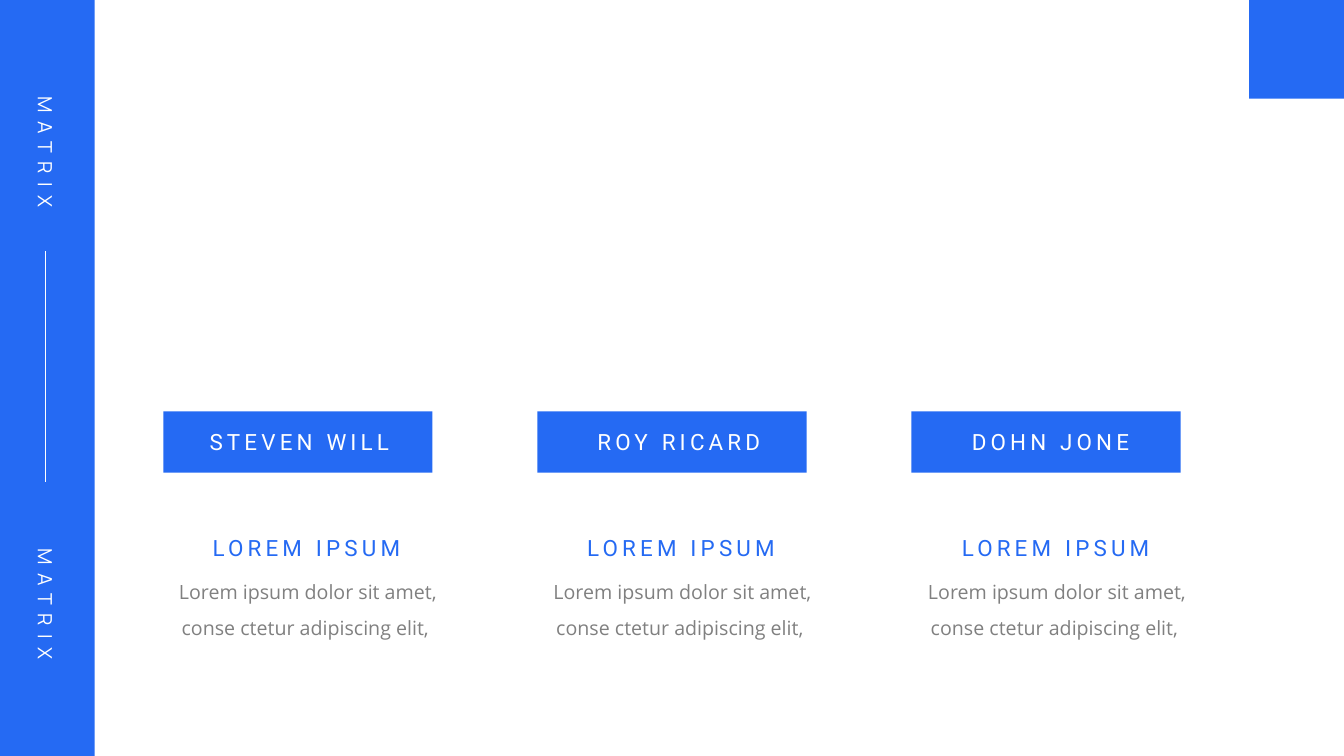
from lxml import etree
from pptx import Presentation
from pptx.dml.color import RGBColor
from pptx.enum.shapes import MSO_CONNECTOR, MSO_SHAPE
from pptx.enum.text import MSO_AUTO_SIZE, PP_ALIGN
from pptx.oxml.ns import qn
from pptx.util import Pt

SIDE_TITLE = "MATRIX"
SIDE_TITLE_TOPS = (134, 582)
MEMBERS = [
    {"name": "STEVEN WILL", "name_left": 195, "name_width": 201},
    {"name": "ROY RICARD", "name_left": 569, "name_width": 195},
    {"name": "DOHN JONE", "name_left": 945, "name_width": 185},
]
HEADING = "LOREM IPSUM"
DESCRIPTION = "Lorem ipsum dolor sit amet, conse ctetur adipiscing elit, "

BLUE = RGBColor(0x25, 0x6A, 0xF3)
WHITE = RGBColor(0xFF, 0xFF, 0xFF)
GRAY = RGBColor(0x80, 0x80, 0x80)
RECTANGLE = MSO_SHAPE.RECTANGLE
STRAIGHT = MSO_CONNECTOR.STRAIGHT
RESIZE = MSO_AUTO_SIZE.SHAPE_TO_FIT_TEXT
CENTER, RIGHT = PP_ALIGN.CENTER, PP_ALIGN.RIGHT

EMU_PER_PX = 9144
SLIDE_WIDTH, SLIDE_HEIGHT = 1333, 750
BAND_WIDTH = 94
CORNER_HEIGHT = 98
PLATE_LEFT, PLATE_TOP, PLATE_WIDTH, PLATE_HEIGHT = 162, 408, 267, 61
HEADING_LEFT, DESCRIPTION_LEFT = 197, 149
PLATE_PITCH, TEXT_PITCH = 371, 371.5


def emu(*lengths):
    return [round(length * EMU_PER_PX) for length in lengths]


def add_block(slide, *box):
    block = slide.shapes.add_shape(RECTANGLE, *emu(*box))
    block.shadow.inherit = False
    block.fill.solid()
    block.fill.fore_color.rgb = BLUE
    block.line.fill.background()


def add_label(slide, text, box, font, size, color, align,
              spacing=0, wrap=False, line_spacing=None, rotation=0):
    label = slide.shapes.add_textbox(*emu(*box))
    label.rotation = rotation
    frame = label.text_frame
    frame.word_wrap = wrap
    frame.auto_size = RESIZE
    paragraph = frame.paragraphs[0]
    paragraph.alignment = align
    if line_spacing:
        paragraph.line_spacing = line_spacing
    run = paragraph.add_run()
    run.text = text
    if spacing:
        run._r.get_or_add_rPr().set("spc", str(spacing * 100))
    paragraph.font.name = font
    paragraph.font.size = Pt(size)
    paragraph.font.color.rgb = color


def add_side_band(slide):
    add_block(slide, 0, 0, BAND_WIDTH, SLIDE_HEIGHT)
    for top in SIDE_TITLE_TOPS:
        add_label(slide, SIDE_TITLE, (-53, top, 196, 34), "Manrope", 14,
                  WHITE, CENTER, spacing=6, wrap=True, rotation=90)
    divider = slide.shapes.add_connector(STRAIGHT, *emu(45, 249, 45, 478))
    divider.line.color.rgb = WHITE
    divider.line.width = Pt(0.5)
    etree.SubElement(divider._element.spPr, qn("a:effectLst"))


def add_member(slide, column, member):
    add_block(slide, PLATE_LEFT + column * PLATE_PITCH, PLATE_TOP,
              PLATE_WIDTH, PLATE_HEIGHT)
    shift = column * TEXT_PITCH
    add_label(slide, member["name"],
              (member["name_left"], 420, member["name_width"], 37),
              "Roboto", 16, WHITE, RIGHT, spacing=3)
    add_label(slide, HEADING, (HEADING_LEFT + shift, 525, 210, 37),
              "Roboto", 16, BLUE, RIGHT, spacing=3)
    add_label(slide, DESCRIPTION, (DESCRIPTION_LEFT + shift, 559, 313, 77),
              "Open Sans", 14, GRAY, CENTER, wrap=True, line_spacing=1.5)


def main():
    deck = Presentation()
    deck.slide_width, deck.slide_height = emu(SLIDE_WIDTH, SLIDE_HEIGHT)
    slide = deck.slides.add_slide(deck.slide_layouts[6])
    add_side_band(slide)
    add_block(slide, SLIDE_WIDTH - BAND_WIDTH, 0, BAND_WIDTH, CORNER_HEIGHT)
    for column, member in enumerate(MEMBERS):
        add_member(slide, column, member)
    deck.save("out.pptx")


if __name__ == "__main__":
    main()
